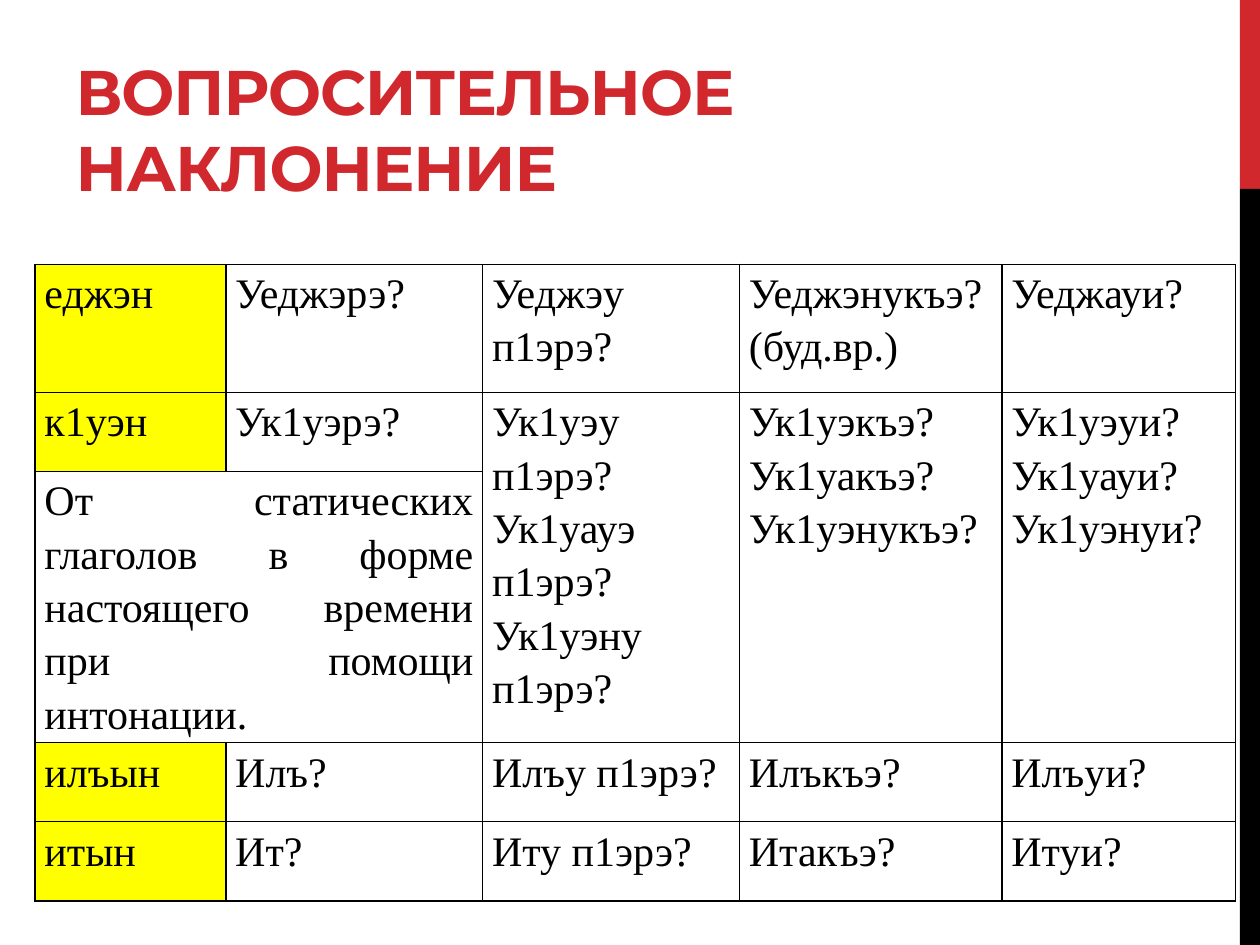
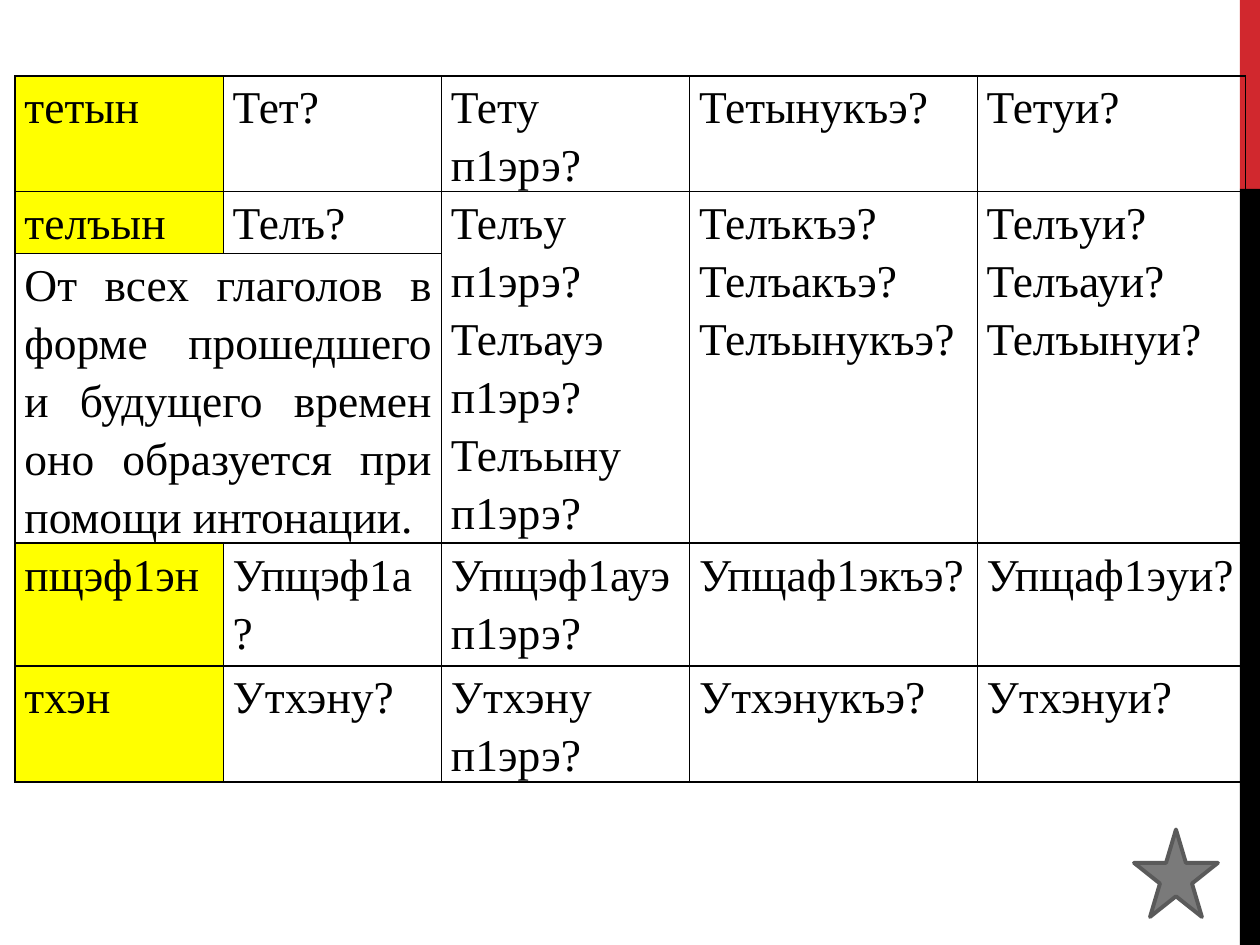
from lxml.etree import SubElement
from pptx import Presentation
from pptx.dml.color import RGBColor
from pptx.enum.shapes import MSO_SHAPE
from pptx.enum.text import MSO_ANCHOR, MSO_AUTO_SIZE, PP_ALIGN
from pptx.oxml.ns import qn
from pptx.util import Pt

RED = RGBColor(0xD1, 0x28, 0x2E)
BLACK = RGBColor(0, 0, 0)
WHITE = RGBColor(0xFF, 0xFF, 0xFF)
YELLOW = RGBColor(0xFF, 0xFF, 0)
GREY = RGBColor(0x7A, 0x7A, 0x7A)
DARK = RGBColor(0x5A, 0x5A, 0x5A)
HEAD = "Montserrat"
BODY = "Times New Roman"

# Verb forms: the third row holds a note over the first two columns,
# beside cells that reach down from the second row.
NOTE = 2
FIRST = [
    ["еджэн", "Уеджэрэ?", "Уеджэу п1эрэ?", "Уеджэнукъэ?\n(буд.вр.)", "Уеджауи?"],
    ["к1уэн", "Ук1уэрэ?", "Ук1уэу п1эрэ?\nУк1уауэ п1эрэ?\nУк1уэну п1эрэ?",
     "Ук1уэкъэ?\nУк1уакъэ?\nУк1уэнукъэ?", "Ук1уэуи?\nУк1уауи?\nУк1уэнуи?"],
    ["От статических глаголов в форме настоящего времени при помощи интонации."],
    ["илъын", "Илъ?", "Илъу п1эрэ?", "Илъкъэ?", "Илъуи?"],
    ["итын", "Ит?", "Иту п1эрэ?", "Итакъэ?", "Итуи?"],
]
SECOND = [
    ["тетын", "Тет?", "Тету п1эрэ?", "Тетынукъэ?", "Тетуи?"],
    ["телъын", "Телъ?", "Телъу п1эрэ?\nТелъауэ п1эрэ?\nТелъыну п1эрэ?",
     "Телъкъэ?\nТелъакъэ?\nТелъынукъэ?", "Телъуи?\nТелъауи?\nТелъынуи?"],
    ["От всех глаголов в форме прошедшего и будущего времен оно образуется "
     "при помощи интонации."],
    ["пщэф1эн", "Упщэф1а?", "Упщэф1ауэ п1эрэ?", "Упщаф1экъэ?", "Упщаф1эуи?"],
    ["тхэн", "Утхэну?", "Утхэну п1эрэ?", "Утхэнукъэ?", "Утхэнуи?"],
]


def add_form(slide, kind, box, fill, line=None):
    form = slide.shapes.add_shape(kind, *map(Pt, box))
    form.shadow.inherit = False
    form.fill.solid()
    form.fill.fore_color.rgb = fill
    if line is None:
        form.line.fill.background()
    else:
        form.line.color.rgb = line
        form.line.width = Pt(2.25)


def add_page(deck, layout):
    """Add a slide with the two bands on its right edge."""
    slide = deck.slides.add_slide(deck.slide_layouts[layout])
    add_form(slide, MSO_SHAPE.RECTANGLE, (708.5, 0, 11.5, 108), RED)
    add_form(slide, MSO_SHAPE.RECTANGLE, (708.5, 108, 11.5, 432), BLACK)
    return slide


def set_title(slide, text):
    title = slide.shapes.title
    title.left, title.top, title.width, title.height = map(Pt, (36, 12, 456, 108))
    frame = title.text_frame
    frame.text = text
    frame.word_wrap = True
    frame.auto_size = MSO_AUTO_SIZE.NONE
    frame.vertical_anchor = MSO_ANCHOR.BOTTOM
    para = frame.paragraphs[0]
    para.alignment = PP_ALIGN.LEFT
    font = para.font
    font.name, font.size, font.bold = HEAD, Pt(36), True
    font.color.rgb = RED
    para.runs[0]._r.get_or_add_rPr().set("spc", "-60")


def set_edges(cell):
    props = cell._tc.get_or_add_tcPr()
    for side in ("a:lnL", "a:lnR", "a:lnT", "a:lnB"):
        edge = SubElement(props, qn(side), w=str(Pt(1)))
        fill = SubElement(edge, qn("a:solidFill"))
        SubElement(fill, qn("a:srgbClr"), val=str(BLACK))


def set_cell(cell, text, size, fill):
    cell.margin_left = cell.margin_right = Pt(5.4)
    cell.margin_top = cell.margin_bottom = 0
    set_edges(cell)
    if fill is None:
        cell.fill.background()
    else:
        cell.fill.solid()
        cell.fill.fore_color.rgb = fill
    cell.text = text
    for para in cell.text_frame.paragraphs:
        para.alignment = PP_ALIGN.JUSTIFY
        para.line_spacing = 1.15
        font = para.font
        font.name, font.size = BODY, Pt(size)
        font.color.rgb = BLACK


def add_verbs(slide, data, left, top, widths, heights, size):
    frame = slide.shapes.add_table(
        len(heights), len(widths), Pt(left), Pt(top),
        Pt(sum(widths)), Pt(sum(heights)))
    table = frame.table
    table.first_row = table.horz_banding = False
    for col, width in zip(table.columns, widths):
        col.width = Pt(width)
    for row, height in zip(table.rows, heights):
        row.height = Pt(height)
    for r, line in enumerate(data):
        for c in range(len(widths)):
            text = line[c] if c < len(line) else ""
            fill = YELLOW if c == 0 else None
            if r == NOTE and c < 2:
                fill = WHITE
            set_cell(table.cell(r, c), text, size, fill)
    # Joined cells
    table.cell(NOTE, 0).merge(table.cell(NOTE, 1))
    for c in range(2, len(widths)):
        table.cell(NOTE - 1, c).merge(table.cell(NOTE, c))


def main():
    deck = Presentation()
    deck.slide_width, deck.slide_height = Pt(720), Pt(540)

    # Title and first table
    slide = add_page(deck, 5)
    set_title(slide, "ВОПРОСИТЕЛЬНОЕ НАКЛОНЕНИЕ")
    add_verbs(slide, FIRST, 20, 151, (109, 146.8, 146.8, 150, 133.5),
              (73.2, 45.2, 155, 45.2, 45.2), 24)

    # Second table and star
    slide = add_page(deck, 6)
    add_verbs(slide, SECOND, 8.6, 43.3, (119, 124.7, 141.8, 164.4, 153.4),
              (66, 35.2, 165.6, 70.2, 66), 26)
    add_form(slide, MSO_SHAPE.STAR_5_POINT, (648, 474, 48, 50), GREY, DARK)

    deck.save("out.pptx")


if __name__ == "__main__":
    main()
